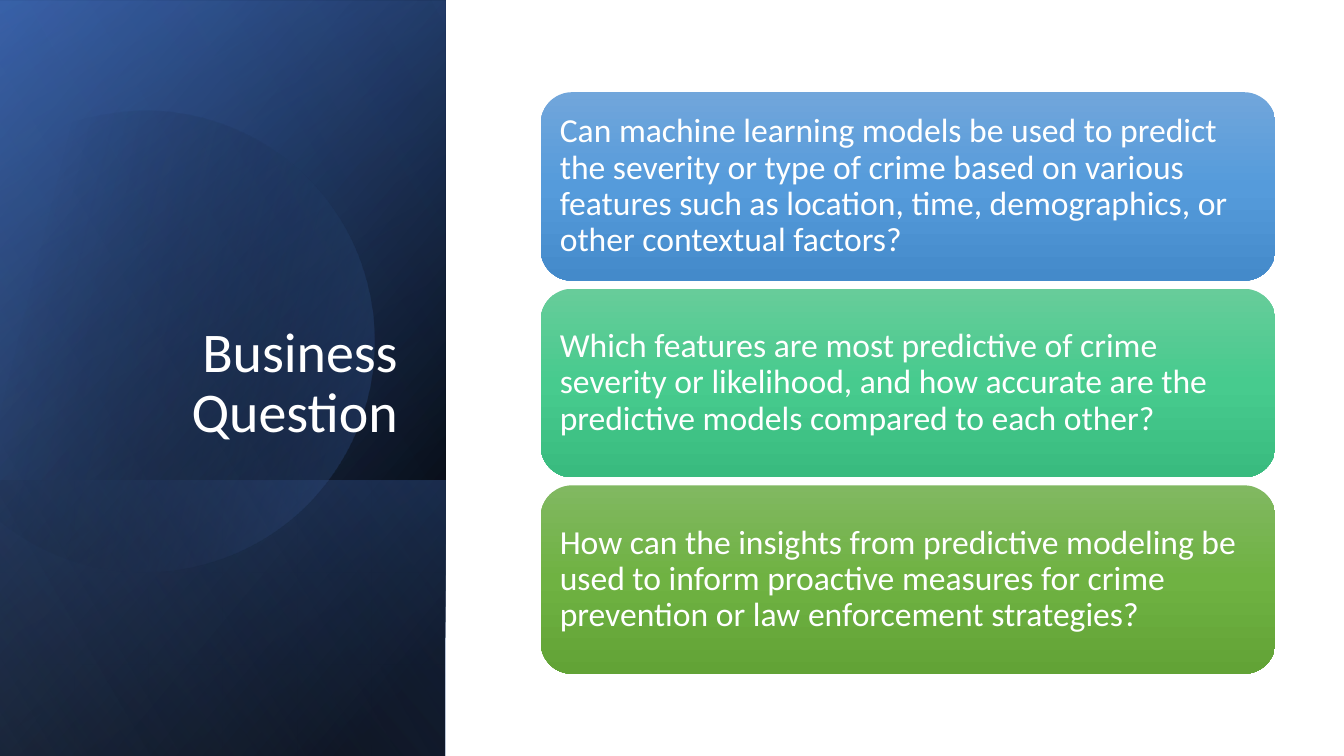
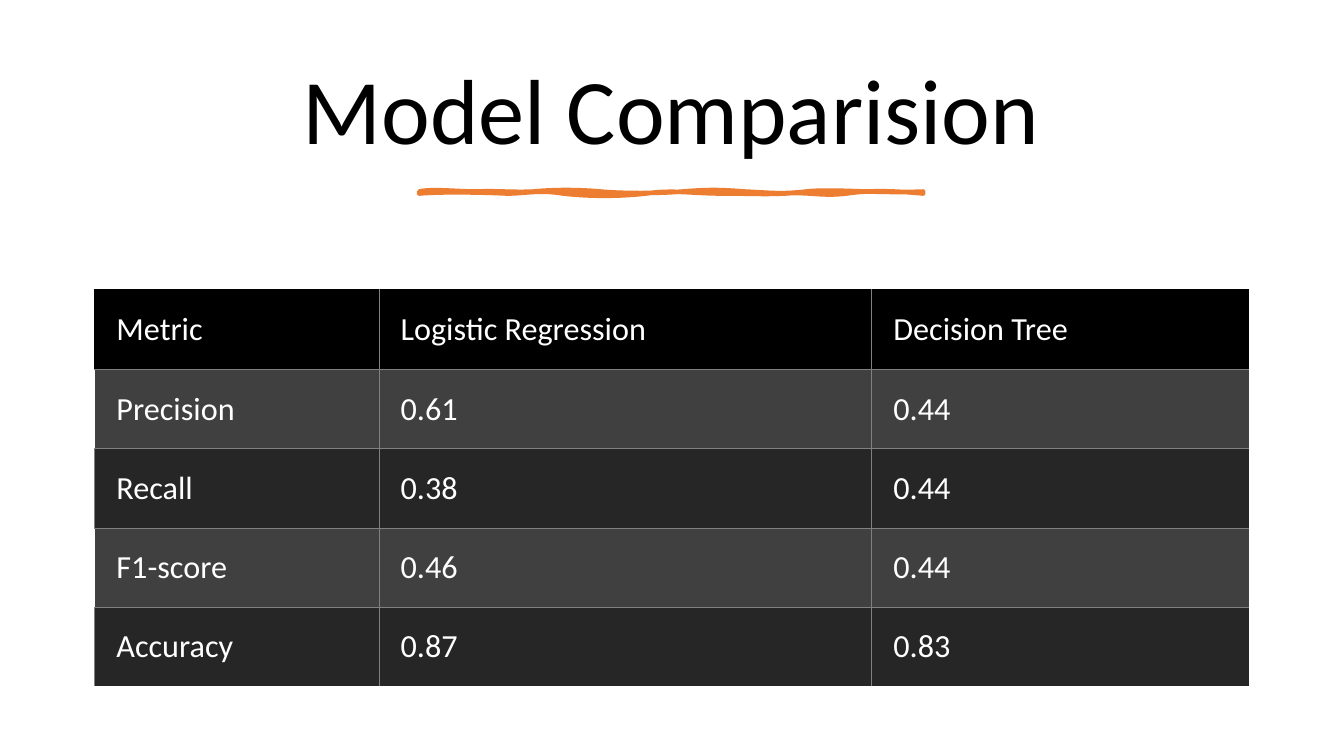
"""Build a two-slide deck: business questions and a model comparison."""
from math import cos, radians, sin

from lxml import etree
from pptx import Presentation
from pptx.dml.color import RGBColor
from pptx.enum.shapes import MSO_SHAPE
from pptx.enum.text import MSO_ANCHOR, PP_ALIGN
from pptx.oxml.ns import qn
from pptx.util import Pt

RECTANGLE, ROUNDED = MSO_SHAPE.RECTANGLE, MSO_SHAPE.ROUNDED_RECTANGLE
LEFT, CENTER, RIGHT = PP_ALIGN.LEFT, PP_ALIGN.CENTER, PP_ALIGN.RIGHT
MIDDLE, BOTTOM = MSO_ANCHOR.MIDDLE, MSO_ANCHOR.BOTTOM

EMU_PER_PX = 4572
FONT = "Calibri"
COLORS = {
    "white": "FFFFFF",
    "black": "000000",
    "navy": "2F5597",
    "blue": "4472C4",
    "pale blue": "8FAADC",
    "orange": "ED7D31",
    "rule": "808080",
    "dark row": "262626",
    "light row": "404040",
    "sky top": "71A6DB",
    "sky middle": "559BDB",
    "sky bottom": "448ACA",
    "mint top": "67CC9A",
    "mint middle": "47CB8E",
    "mint bottom": "39BB7F",
    "grass top": "81B861",
    "grass middle": "6FB242",
    "grass bottom": "62A336",
}

PANEL_LAYERS = [
    ((-308, 308, 1500, 884), 50, [(8, "black", 100), (100, "navy", 100)]),
    ((-308, 309, 1500, 884), 30, [(0, "black", 0), (99, "blue", 46)]),
    ((168, 785, 548, 884), 130, [(2, "blue", 29), (100, "black", 30)]),
]
PANEL_GLAZE = ((-308, 308, 1500, 884), 120, [(0, "black", 0), (99, "pale blue", 11)])
DISC_BOX = (-110, 212, 854, 914)
DISC_TURN = 343.9
DISC_START = (298, 220)
DISC_SEGMENTS = [
    (492, 224, 670, 354, 726, 550),
    (796, 794, 656, 1046, 414, 1116),
    (262, 1160, 106, 1122, -6, 1028),
    (-30, 1006),
    (-30, 350),
    (0, 322),
    (46, 284, 100, 256, 160, 238),
    (206, 226, 252, 220, 298, 220),
]
QUESTIONS = [
    ("sky", "Can machine learning models be used to predict the severity or type of crime "
            "based on various features such as location, time, demographics, or other "
            "contextual factors?"),
    ("mint", "Which features are most predictive of crime severity or likelihood, and how "
             "accurate are the predictive models compared to each other?"),
    ("grass", "How can the insights from predictive modeling be used to inform proactive "
              "measures for crime prevention or law enforcement strategies?"),
]
STROKE_BOX = (832, 380, 1000, 4)
STROKE_START = (832, 380)
STROKE_SEGMENTS = [
    (856, 374, 908, 380, 946, 380),
    (984, 378, 1018, 382, 1058, 380),
    (1098, 376, 1148, 376, 1192, 380),
    (1234, 384, 1306, 384, 1354, 380),
    (1404, 376, 1428, 376, 1478, 380),
    (1526, 382, 1548, 386, 1600, 380),
    (1652, 374, 1734, 384, 1832, 380),
    (1834, 382, 1832, 382, 1832, 384),
    (1790, 380, 1730, 376, 1680, 384),
    (1630, 390, 1602, 380, 1558, 384),
    (1512, 386, 1494, 384, 1434, 384),
    (1374, 384, 1334, 376, 1282, 384),
    (1228, 390, 1170, 390, 1118, 384),
    (1068, 376, 1046, 384, 1006, 384),
    (966, 382, 876, 380, 832, 384),
    (832, 382, 832, 380, 832, 380),
]
SCORES = [
    ("Metric", "Logistic Regression", "Decision Tree"),
    ("Precision", "0.61", "0.44"),
    ("Recall", "0.38", "0.44"),
    ("F1-score", "0.46", "0.44"),
    ("Accuracy", "0.87", "0.83"),
]


def emu(*lengths):
    return [round(length * EMU_PER_PX) for length in lengths]


def rgb(color):
    return RGBColor.from_string(COLORS[color])


def write(frame, text, size=24, color="white", align=LEFT, spacing=1.0):
    frame.word_wrap = True
    para = frame.paragraphs[0]
    para.alignment = align
    para.line_spacing = spacing
    span = para.add_run()
    span.text = text
    span.font.name = FONT
    span.font.size = Pt(size)
    span.font.color.rgb = rgb(color)


def set_insets(holder, left, top, right, bottom):
    holder.margin_left, holder.margin_top, holder.margin_right, holder.margin_bottom = emu(
        left, top, right, bottom)


def fill_gradient(shape, stops, angle):
    shape.fill.background()
    blank = shape.element.spPr.find(qn("a:noFill"))
    gradient = etree.Element(qn("a:gradFill"), rotWithShape="1")
    stop_list = etree.SubElement(gradient, qn("a:gsLst"))
    for position, color, opacity in stops:
        stop = etree.SubElement(stop_list, qn("a:gs"), pos=str(position * 1000))
        tint = etree.SubElement(stop, qn("a:srgbClr"), val=COLORS[color])
        if opacity < 100:
            etree.SubElement(tint, qn("a:alpha"), val=str(opacity * 1000))
    etree.SubElement(gradient, qn("a:lin"), ang=str(angle * 60000), scaled="0")
    blank.getparent().replace(blank, gradient)


def place_in_box(point, box, turn):
    left, top, width, height = box
    x, y = point[0] - left - width / 2, point[1] - top - height / 2
    c, s = cos(radians(turn)), sin(radians(turn))
    return emu(x * c + y * s + width / 2, y * c - x * s + height / 2)


def set_borders(cell, borders):
    properties = cell._tc.get_or_add_tcPr()
    for index, side in enumerate("LRTB"):
        color, width = borders.get(side, (None, 0))
        line = etree.Element(qn("a:ln" + side), w=str(Pt(width)))
        if color:
            paint = etree.SubElement(line, qn("a:solidFill"))
            etree.SubElement(paint, qn("a:srgbClr"), val=COLORS[color])
        else:
            etree.SubElement(line, qn("a:noFill"))
        properties.insert(index, line)


class Deck:
    def __init__(self, width, height):
        self.file = Presentation()
        self.file.slide_width, self.file.slide_height = emu(width, height)
        self.page = None

    def add_page(self):
        self.page = self.file.slides.add_slide(self.file.slide_layouts[6])

    def title(self, box, text, anchor=MIDDLE, **style):
        holder = self.page.shapes.add_textbox(*emu(*box))
        holder.text_frame.vertical_anchor = anchor
        write(holder.text_frame, text, spacing=0.9, **style)

    def shape(self, kind, box, stops, angle):
        shape = self.page.shapes.add_shape(kind, *emu(*box))
        shape.shadow.inherit = False
        shape.line.fill.background()
        fill_gradient(shape, stops, angle)
        return shape

    def panel(self, box, angle, stops):
        panel = self.shape(RECTANGLE, box, stops, angle)
        panel.rotation = 90
        panel.element.spPr.find(qn("a:xfrm")).set("flipH", "1")

    def card(self, box, hue, text):
        stops = [(0, hue + " top", 100), (50, hue + " middle", 100), (100, hue + " bottom", 100)]
        frame = self.shape(ROUNDED, box, stops, 90).text_frame
        frame.vertical_anchor = MIDDLE
        set_insets(frame, 20, 20, 20, 20)
        write(frame, text, spacing=0.9)

    def outline(self, box, start, segments, turn=0):
        builder = self.page.shapes.build_freeform(*emu(*start), scale=1.0)
        builder.add_line_segments([emu(*segment[-2:]) for segment in segments], close=True)
        shape = builder.convert_to_shape()
        shape.shadow.inherit = False
        shape.left, shape.top, shape.width, shape.height = emu(*box)
        shape.rotation = turn
        track = next(shape.element.iter(qn("a:path")))
        track.set("w", str(shape.width))
        track.set("h", str(shape.height))
        for step, segment in zip(list(track), [start] + segments):
            if len(segment) == 6:
                curve = etree.Element(qn("a:cubicBezTo"))
                track.replace(step, curve)
                step = curve
            for point in list(step):
                step.remove(point)
            for corner in zip(segment[::2], segment[1::2]):
                x, y = place_in_box(corner, box, turn)
                etree.SubElement(step, qn("a:pt"), x=str(x), y=str(y))
        return shape

    def disc(self, box, start, segments, turn, stops, angle):
        disc = self.outline(box, start, segments, turn)
        disc.line.fill.background()
        fill_gradient(disc, stops, angle)

    def stroke(self, box, start, segments, color, width):
        stroke = self.outline(box, start, segments)
        stroke.fill.solid()
        stroke.fill.fore_color.rgb = rgb(color)
        stroke.line.color.rgb = rgb(color)
        stroke.line.width = Pt(width)

    def table(self, box, widths, rows):
        table = self.page.shapes.add_table(len(rows), len(widths), *emu(*box)).table
        table.first_row = table.horz_banding = False
        for column, width in zip(table.columns, emu(*widths)):
            column.width = width
        last_row, last_column = len(rows) - 1, len(widths) - 1
        rule, edge = ("rule", 0.5), ("black", 1.5)
        for i, row in enumerate(rows):
            fill = "black" if i == 0 else "light row" if i % 2 else "dark row"
            for j, text in enumerate(row):
                cell = table.cell(i, j)
                cell.fill.solid()
                cell.fill.fore_color.rgb = rgb(fill)
                cell.vertical_anchor = MIDDLE
                set_insets(cell, 43, 34, 30, 34)
                write(cell.text_frame, text, size=23)
                borders = {"T": rule if i else edge}
                if j or i % 2 == 0:
                    borders["L"] = rule if i or j else edge
                if j < last_column:
                    borders["R"] = rule
                if i < last_row:
                    borders["B"] = rule
                set_borders(cell, borders)


def main():
    deck = Deck(2667, 1500)

    deck.add_page()
    for layer in PANEL_LAYERS:
        deck.panel(*layer)
    deck.disc(DISC_BOX, DISC_START, DISC_SEGMENTS, DISC_TURN,
              [(29, "black", 0), (100, "blue", 43)], 30)
    deck.panel(*PANEL_GLAZE)
    deck.title((127, 368, 682, 524), "Business Question", anchor=BOTTOM, size=40, align=RIGHT)
    for index, (hue, text) in enumerate(QUESTIONS):
        deck.card((1073, 183 + 390 * index, 1458, 374), hue, text)

    deck.add_page()
    deck.title((139, 91, 2386, 274), "Model Comparision", size=66, color="black", align=CENTER)
    deck.stroke(STROKE_BOX, STROKE_START, STROKE_SEGMENTS, "orange", 3.25)
    deck.table((188, 576, 2290, 786), (564, 978, 748), SCORES)

    deck.file.save("out.pptx")


if __name__ == "__main__":
    main()
